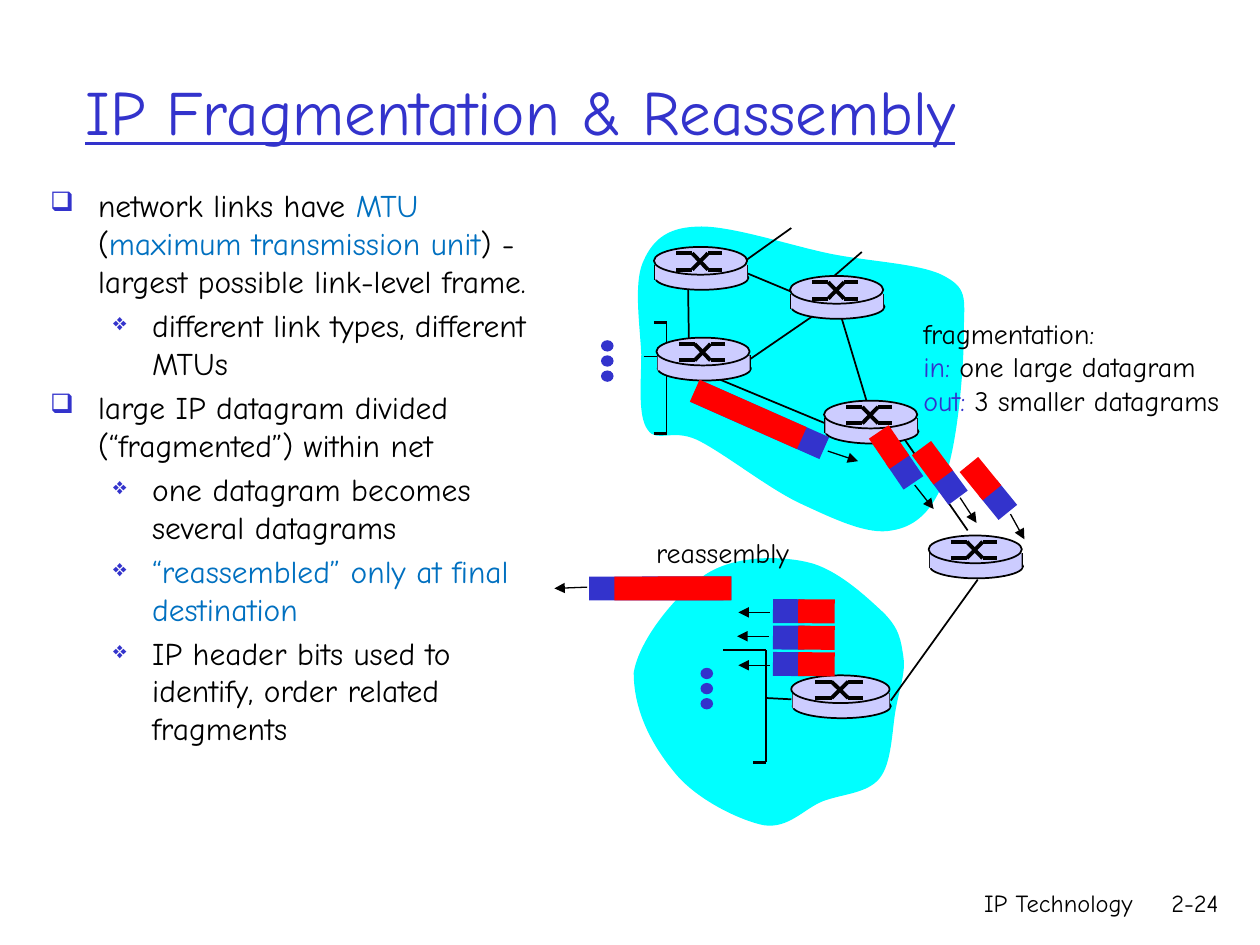
from dataclasses import dataclass
from math import cos, radians, sin
from typing import NamedTuple

from lxml.etree import SubElement
from pptx import Presentation
from pptx.dml.color import RGBColor
from pptx.enum.shapes import MSO_CONNECTOR, MSO_SHAPE
from pptx.enum.text import MSO_ANCHOR as Anchor, MSO_AUTO_SIZE as AutoSize, PP_ALIGN as Align
from pptx.oxml.ns import qn
from pptx.util import Inches, Pt


@dataclass(frozen=True)
class Theme:
    font: str = "Comic Neue"
    bullet_font: str = "OpenSymbol"
    ink: str = "000000"
    accent: str = "3333CC"
    term: str = "0070C0"
    cloud: str = "00FFFF"
    router: str = "CCCCFF"
    payload: str = "FF0000"
    title: int = 36
    body: int = 18
    label: int = 16
    footer: int = 14


class Run(NamedTuple):
    text: str
    color: str = Theme.ink


class Bullet(NamedTuple):
    level: int
    runs: list[Run]


class BulletStyle(NamedTuple):
    char: str
    size: int
    margin: float
    hang: float


class Router(NamedTuple):
    x: float
    y: float
    width: float = 0.74


class Packet(NamedTuple):
    """Header centre and heading; the payload trails the header by `lag`."""
    x: float
    y: float
    angle: float
    header: float = 0.25
    payload: float = 0.29
    lag: float = 0.22


BULLET_STYLES = [BulletStyle("❑", 85, 0.38, 0.38), BulletStyle("❖", 75, 0.81, 0.31)]
BULLETS = [
    Bullet(0, [Run("network links have "), Run("MTU", Theme.term), Run(" ("),
               Run("maximum transmission unit", Theme.term),
               Run(") - largest possible link-level frame.")]),
    Bullet(1, [Run("different link types, different MTUs")]),
    Bullet(0, [Run("large IP datagram divided (“fragmented”) within net")]),
    Bullet(1, [Run("one datagram becomes several datagrams")]),
    Bullet(1, [Run("“reassembled” only at final destination", Theme.term)]),
    Bullet(1, [Run("IP header bits used to identify, order related fragments")]),
]
# Each cloud: a start point, then cubic curves as (control, control, end).
SOURCE_CLOUD = (5.52, 1.8), [
    (5.28, 1.81, 5.17, 1.92, 5.1, 2.09), (5.03, 2.26, 5.08, 2.59, 5.09, 2.81),
    (5.09, 3.03, 5.06, 3.3, 5.14, 3.41), (5.21, 3.52, 5.33, 3.4, 5.53, 3.49),
    (5.74, 3.59, 6.1, 3.88, 6.36, 4), (6.62, 4.12, 6.89, 4.25, 7.08, 4.21),
    (7.27, 4.18, 7.41, 4.05, 7.5, 3.79), (7.6, 3.53, 7.65, 2.92, 7.65, 2.66),
    (7.65, 2.39, 7.69, 2.3, 7.51, 2.2), (7.33, 2.09, 6.9, 2.08, 6.57, 2.01),
    (6.24, 1.94, 5.77, 1.78, 5.52, 1.8)]
DESTINATION_CLOUD = (5.03, 5.34), [
    (5.07, 5.08, 5.37, 4.71, 5.6, 4.56), (5.83, 4.41, 6.17, 4.41, 6.4, 4.46),
    (6.64, 4.51, 6.88, 4.74, 7.01, 4.86), (7.14, 4.99, 7.15, 5.08, 7.17, 5.21),
    (7.19, 5.34, 7.14, 5.46, 7.11, 5.63), (7.08, 5.79, 7.08, 6.06, 6.98, 6.18),
    (6.88, 6.3, 6.69, 6.3, 6.53, 6.36), (6.38, 6.42, 6.26, 6.58, 6.06, 6.55),
    (5.87, 6.51, 5.54, 6.35, 5.37, 6.15), (5.2, 5.95, 5.03, 5.67, 5.03, 5.34)]
LINKS = [
    (5.11, 2.83, 5.25, 2.83), (5.74, 2.09, 6.46, 2.39), (6.66, 2.46, 6.88, 3.19),
    (5.46, 2.21, 5.47, 2.85), (5.49, 2.92, 6.55, 3.36), (7.68, 4.21, 7.16, 3.46),
    (6.58, 2.42, 5.75, 2.99), (6.28, 1.81, 5.76, 2.18), (6.84, 2, 6.54, 2.26),
    (6.08, 5.54, 6.28, 5.55), (7.76, 4.6, 7.07, 5.56)]
ROUTERS = [Router(5.19, 1.96), Router(5.21, 2.68), Router(6.27, 2.19), Router(6.54, 3.18),
           Router(6.28, 5.36, 0.78), Router(7.37, 4.25)]
PACKETS = [
    Packet(6.03, 3.33, 23.9, 1.12, 0.93, 0.1),
    Packet(7.18, 3.73, 55.8), Packet(7.53, 3.85, 53.6), Packet(7.92, 3.97, 50.9),
    *(Packet(6.26, 4.85 + 0.21 * row, 180.4) for row in range(3)),
    Packet(5.24, 4.67, 179.9, 1.13, 0.93, 0.1)]
MOTIONS = [
    (6.57, 3.58, 6.81, 3.66), (7.26, 3.85, 7.41, 4.04), (7.62, 3.95, 7.75, 4.15),
    (8.02, 4.08, 8.13, 4.28), (6.11, 4.86, 5.86, 4.86), (6.1, 5.05, 5.85, 5.05),
    (6.11, 5.28, 5.86, 5.28), (4.66, 4.66, 4.4, 4.67)]


def draw_line(parent, x1: float, y1: float, x2: float, y2: float,
              weight: float = 1, arrow: bool = False) -> None:
    line = parent.shapes.add_connector(
        MSO_CONNECTOR.STRAIGHT, Inches(x1), Inches(y1), Inches(x2), Inches(y2))
    line.line.color.rgb = RGBColor.from_string(Theme.ink)
    line.line.width = Pt(weight)
    if arrow:
        SubElement(line.line._get_or_add_ln(), qn("a:tailEnd"), type="triangle")
    SubElement(line._element.spPr, qn("a:effectLst"))


def paint(shape, fill: str, outlined: bool = False) -> None:
    shape.shadow.inherit = False
    shape.fill.solid()
    shape.fill.fore_color.rgb = RGBColor.from_string(fill)
    if outlined:
        shape.line.color.rgb = RGBColor.from_string(Theme.ink)
        shape.line.width = Pt(1)
    else:
        shape.line.fill.background()


def draw_shape(parent, kind: MSO_SHAPE, x: float, y: float, width: float, height: float,
               fill: str, outlined: bool = False, angle: float = 0) -> None:
    shape = parent.shapes.add_shape(kind, Inches(x), Inches(y), Inches(width), Inches(height))
    shape.rotation = angle
    paint(shape, fill, outlined)


def draw_cloud(slide, start: tuple, curves: list[tuple]) -> None:
    """Build the outline through all points, then join each three into a cubic curve."""
    outline = slide.shapes.build_freeform(Inches(start[0]), Inches(start[1]))
    outline.add_line_segments([
        (Inches(curve[i]), Inches(curve[i + 1])) for curve in curves for i in (0, 2, 4)])
    cloud = outline.convert_to_shape()
    segments = list(cloud._element.iter(qn("a:lnTo")))
    for first in range(0, len(segments), 3):
        curve = segments[first].makeelement(qn("a:cubicBezTo"))
        segments[first].addprevious(curve)
        for segment in segments[first:first + 3]:
            curve.append(segment[0])
            segment.getparent().remove(segment)
    paint(cloud, Theme.cloud)


def draw_router(slide, router: Router) -> None:
    group = slide.shapes.add_group_shape()
    x, y, width = router
    oval = MSO_SHAPE.OVAL
    draw_shape(group, oval, x + 0.01, y + 0.15, width, 0.19, Theme.router, True)
    for side in (x + 0.01, x + width):
        draw_line(group, side, y + 0.14, side, y + 0.26)
    draw_shape(group, MSO_SHAPE.RECTANGLE, x + 0.01, y + 0.14, width - 0.01, 0.12, Theme.router)
    draw_shape(group, oval, x, y, width, 0.22, Theme.router, True)
    left, inner_left, inner_right, right = (x + width * part for part in (0.24, 0.41, 0.58, 0.73))
    top, bottom = y + 0.05, y + 0.18
    for near, far in ((top, bottom), (bottom, top)):
        draw_line(group, left, near, inner_left, near, 2.25)
        draw_line(group, inner_left, near, inner_right, far, 2.25)
        draw_line(group, inner_right, far, right, far, 2.25)


def draw_packet(slide, packet: Packet) -> None:
    group = slide.shapes.add_group_shape()
    heading, height = radians(packet.angle), 0.19
    for length, lag, fill in ((packet.header, 0, Theme.accent),
                              (packet.payload, packet.lag, Theme.payload)):
        center_x = packet.x - lag * cos(heading)
        center_y = packet.y - lag * sin(heading)
        draw_shape(group, MSO_SHAPE.RECTANGLE, center_x - length / 2, center_y - height / 2,
                   length, height, fill, angle=packet.angle)


def draw_hosts(slide, bracket: tuple, upper_arm: float, dots: tuple) -> None:
    """Draw a bracket (x, top, bottom) and the three dots beside it."""
    group = slide.shapes.add_group_shape()
    x, top, bottom = bracket
    draw_line(group, x - upper_arm, top, x, top, 1.5)
    draw_line(group, x - 0.1, bottom, x, bottom, 1.5)
    draw_line(group, x, top, x, bottom)
    for row in range(3):
        draw_shape(group, MSO_SHAPE.OVAL, dots[0], dots[1] + 0.12 * row, 0.1, 0.09, Theme.accent)


def add_text(slide, x: float, y: float, width: float, height: float, lines: list[list[Run]],
             size: int, wrap: bool = True, align: Align = Align.LEFT,
             anchor: Anchor = Anchor.TOP, underline: bool | None = None):
    frame = slide.shapes.add_textbox(
        Inches(x), Inches(y), Inches(width), Inches(height)).text_frame
    frame.word_wrap, frame.vertical_anchor = wrap, anchor
    frame.auto_size = AutoSize.NONE if wrap else AutoSize.SHAPE_TO_FIT_TEXT
    for index, runs in enumerate(lines):
        paragraph = frame.add_paragraph() if index else frame.paragraphs[0]
        paragraph.alignment = align
        for text, color in runs:
            run = paragraph.add_run()
            run.text = text
            run.font.name, run.font.size, run.font.underline = Theme.font, Pt(size), underline
            run.font.color.rgb = RGBColor.from_string(color)
    return frame


def add_bullets(slide) -> None:
    frame = add_text(slide, 0.3, 1.43, 4.17, 5.08, [b.runs for b in BULLETS], Theme.body)
    for index, (paragraph, bullet) in enumerate(zip(frame.paragraphs, BULLETS)):
        style = BULLET_STYLES[bullet.level]
        paragraph.level = bullet.level
        props = paragraph._p.get_or_add_pPr()
        props.set("marL", str(Inches(style.margin)))
        props.set("indent", str(-Inches(style.hang)))
        SubElement(SubElement(props, qn("a:buClr")), qn("a:srgbClr"), val=Theme.accent)
        SubElement(props, qn("a:buSzPct"), val=str(style.size * 1000))
        SubElement(props, qn("a:buFont"), typeface=Theme.bullet_font)
        SubElement(props, qn("a:buChar"), char=style.char)
        if index:
            paragraph.space_before = Pt(0.2 * Theme.body)


def main() -> None:
    deck = Presentation()
    deck.slide_width, deck.slide_height = Inches(10), Inches(7.5)
    slide = deck.slides.add_slide(deck.slide_layouts[6])
    add_text(slide, 5.92, 7, 3.17, 0.5, [[Run("IP Technology")]], Theme.footer, align=Align.RIGHT)
    add_text(slide, 8.98, 7, 0.79, 0.5, [[Run("2-24")]], Theme.footer, align=Align.RIGHT)
    add_text(slide, 0.58, 0.25, 8.5, 1.25, [[Run("IP Fragmentation & Reassembly", Theme.accent)]],
             Theme.title, anchor=Anchor.MIDDLE, underline=True)
    add_bullets(slide)
    for cloud in (SOURCE_CLOUD, DESTINATION_CLOUD):
        draw_cloud(slide, *cloud)
    draw_hosts(slide, (5.29, 2.56, 3.44), 0.1, (4.77, 2.7))
    draw_hosts(slide, (6.08, 5.16, 6.05), 0.34, (5.56, 5.3))
    for link in LINKS:
        draw_line(slide, *link)
    for router in ROUTERS:
        draw_router(slide, router)
    for packet in PACKETS:
        draw_packet(slide, packet)
    for motion in MOTIONS:
        draw_line(slide, *motion, weight=0.75, arrow=True)
    add_text(slide, 7.23, 2.46, 2.77, 0.9, [
        [Run("fragmentation:")],
        [Run("in:", Theme.accent), Run(" one large datagram")],
        [Run("out:", Theme.accent), Run(" 3 smaller datagrams")]], Theme.label, wrap=False)
    add_text(slide, 5.11, 4.2, 1.36, 0.37, [[Run("reassembly")]], Theme.label, wrap=False)
    deck.save("out.pptx")


if __name__ == "__main__":
    main()
